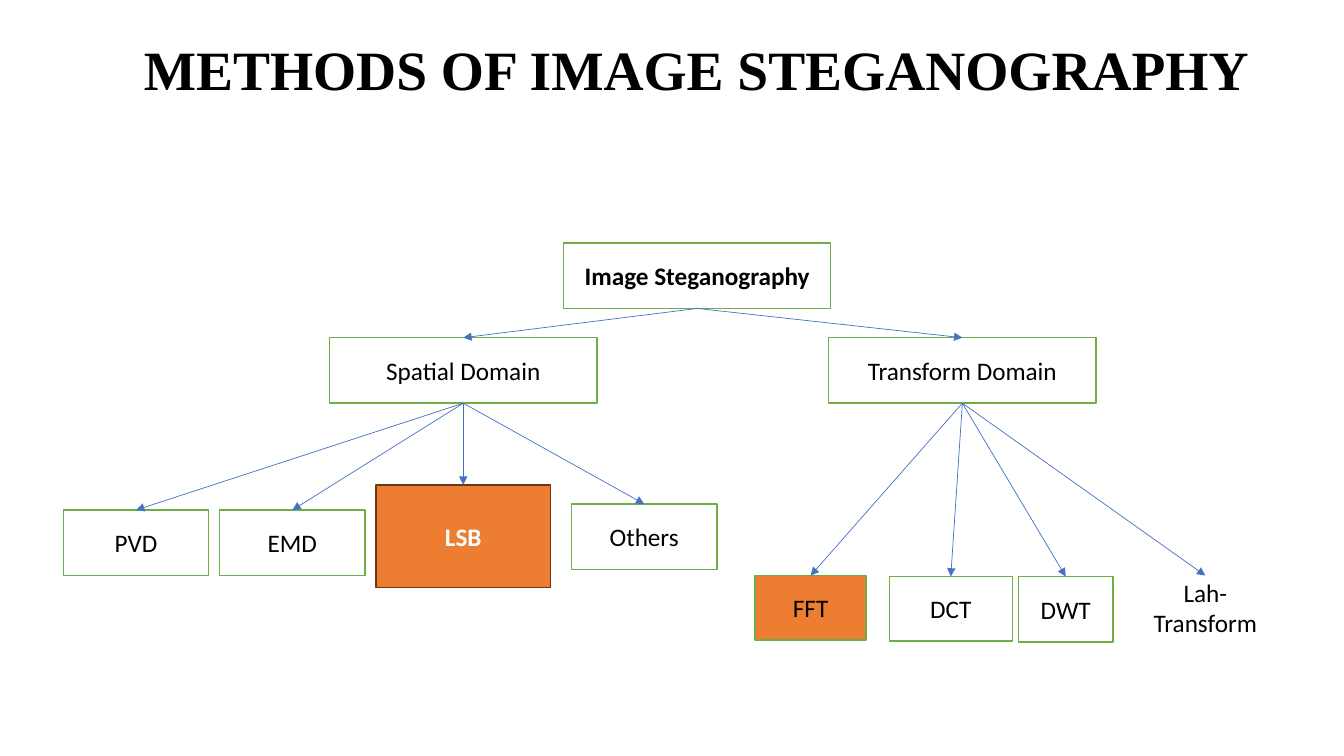
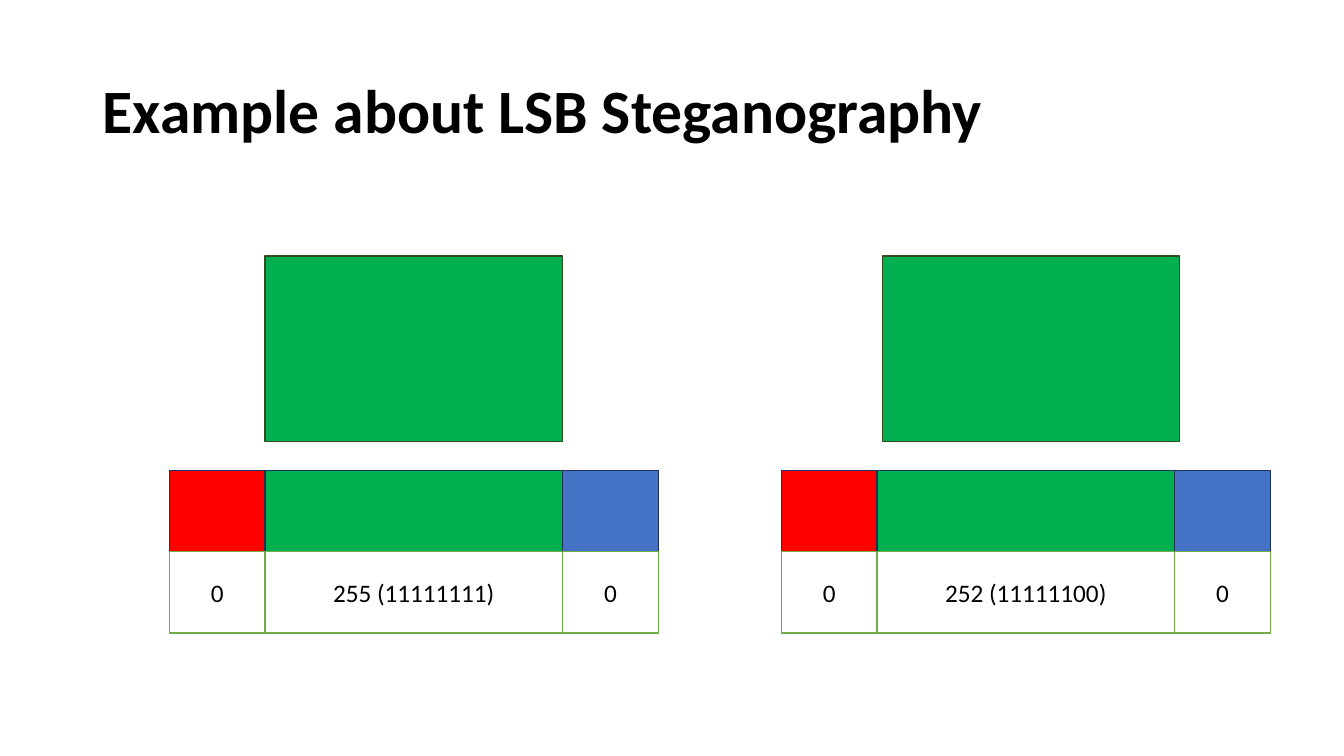
from lxml.etree import SubElement
from pptx import Presentation
from pptx.dml.color import RGBColor
from pptx.enum.shapes import MSO_CONNECTOR, MSO_SHAPE
from pptx.enum.text import MSO_ANCHOR, MSO_AUTO_SIZE, PP_ALIGN
from pptx.oxml.ns import qn
from pptx.util import Pt

SCALE = 9144
COLORS = {
    "white": "FFFFFF", "black": "000000", "border": "70AD47", "orange": "ED7D31",
    "brown": "683715", "blue": "4472C4", "green": "00B050", "forest": "314C1F",
    "red": "FF0000", "navy": "1E3256",
}


def px(length):
    """Turn whole pixels into EMU."""
    return length * SCALE


def color(name):
    """Look up a palette colour."""
    return RGBColor.from_string(COLORS[name])


class Deck:
    """Hold the shared style and the current slide."""

    def __init__(self):
        """Start an empty widescreen presentation."""
        self.presentation = Presentation()
        self.presentation.slide_width = px(1333)
        self.presentation.slide_height = px(750)
        self.slide = None

    def style(self, paragraph, size, bold=False, font="Calibri", ink="black"):
        """Format the runs of a paragraph."""
        for run in paragraph.runs:
            run.font.name = font
            run.font.size = Pt(size)
            run.font.bold = bold
            run.font.color.rgb = color(ink)

    def add_slide(self, title, left, top, size, font="Calibri",
                  align=PP_ALIGN.LEFT, anchor=MSO_ANCHOR.MIDDLE, inset=5):
        """Add a slide and format its title."""
        layout = self.presentation.slide_layouts[5]
        self.slide = self.presentation.slides.add_slide(layout)
        shape = self.slide.shapes.title
        shape.left, shape.top = px(left), px(top)
        shape.width, shape.height = px(1150), px(145)
        frame = shape.text_frame
        frame.text = title
        frame.word_wrap = True
        frame.auto_size = MSO_AUTO_SIZE.NONE
        frame.vertical_anchor = anchor
        frame.margin_top = px(inset)
        paragraph = frame.paragraphs[0]
        paragraph.alignment = align
        paragraph.line_spacing = 0.9
        self.style(paragraph, size, True, font)

    def box(self, left, top, width, height, text="", fill="white",
            line="border", bold=False, ink="black"):
        """Draw a rectangle with an optional centred label."""
        shape = self.slide.shapes.add_shape(
            MSO_SHAPE.RECTANGLE, px(left), px(top), px(width), px(height))
        shape.shadow.inherit = False
        shape.fill.solid()
        shape.fill.fore_color.rgb = color(fill)
        shape.line.color.rgb = color(line)
        shape.line.width = Pt(1)
        if text:
            frame = shape.text_frame
            frame.text = text
            frame.word_wrap = True
            frame.vertical_anchor = MSO_ANCHOR.MIDDLE
            paragraph = frame.paragraphs[0]
            paragraph.alignment = PP_ALIGN.CENTER
            self.style(paragraph, 18, bold, ink=ink)
        return shape

    def arrow(self, parent, child):
        """Join the bottom of a parent to the top of a child."""
        connector = self.slide.shapes.add_connector(MSO_CONNECTOR.STRAIGHT, 0, 0, 0, 0)
        connector.begin_connect(parent, 2)
        connector.end_connect(child, 0)
        connector.line.color.rgb = color("blue")
        connector.line.width = Pt(0.5)
        SubElement(connector.line._get_or_add_ln(), qn("a:tailEnd"), type="triangle")
        SubElement(connector._element.spPr, qn("a:effectLst"))

    def branch(self, parent, children):
        """Draw arrows from a parent to all its children."""
        for child in children:
            self.arrow(parent, child)

    def pixel(self, left, swatch_left, value):
        """Draw a colour swatch above its red, green and blue channels."""
        self.box(swatch_left, 254, 295, 184, fill="green", line="forest")
        channels = (("red", 95, "0"), ("green", 295, value), ("blue", 95, "0"))
        for fill, width, text in channels:
            self.box(left, 467, width, 81, fill=fill, line="navy")
            self.box(left, 547, width, 81, text)
            left += width


def build_methods(deck):
    """Build the tree of steganography methods."""
    deck.add_slide("METHODS OF IMAGE STEGANOGRAPHY", 116, 33, 39.6, "Times New Roman",
                   PP_ALIGN.CENTER, MSO_ANCHOR.TOP, 9)
    root = deck.box(559, 241, 265, 65, "Image Steganography", bold=True)
    spatial = deck.box(327, 335, 265, 65, "Spatial Domain")
    transform = deck.box(822, 335, 265, 65, "Transform Domain")
    spatial_methods = [
        deck.box(63, 506, 144, 65, "PVD"),
        deck.box(218, 506, 144, 65, "EMD"),
        deck.box(373, 481, 173, 102, "LSB", "orange", "brown", True, "white"),
        deck.box(567, 500, 144, 65, "Others"),
    ]
    transform_methods = [
        deck.box(749, 571, 110, 64, "FFT", "orange"),
        deck.box(882, 572, 122, 64, "DCT"),
        deck.box(1010, 572, 94, 65, "DWT"),
        deck.box(1125, 571, 141, 64, "Lah-Transform", line="white"),
    ]
    deck.branch(root, [spatial, transform])
    deck.branch(spatial, spatial_methods)
    deck.branch(transform, transform_methods)


def build_example(deck):
    """Build the comparison of two pixels."""
    deck.add_slide("Example about LSB Steganography", 92, 40, 44)
    deck.pixel(168, 263, "255 (11111111)")
    deck.pixel(775, 875, "252 (11111100)")


def main():
    """Build and save the presentation."""
    deck = Deck()
    build_methods(deck)
    build_example(deck)
    deck.presentation.save("out.pptx")


if __name__ == "__main__":
    main()
